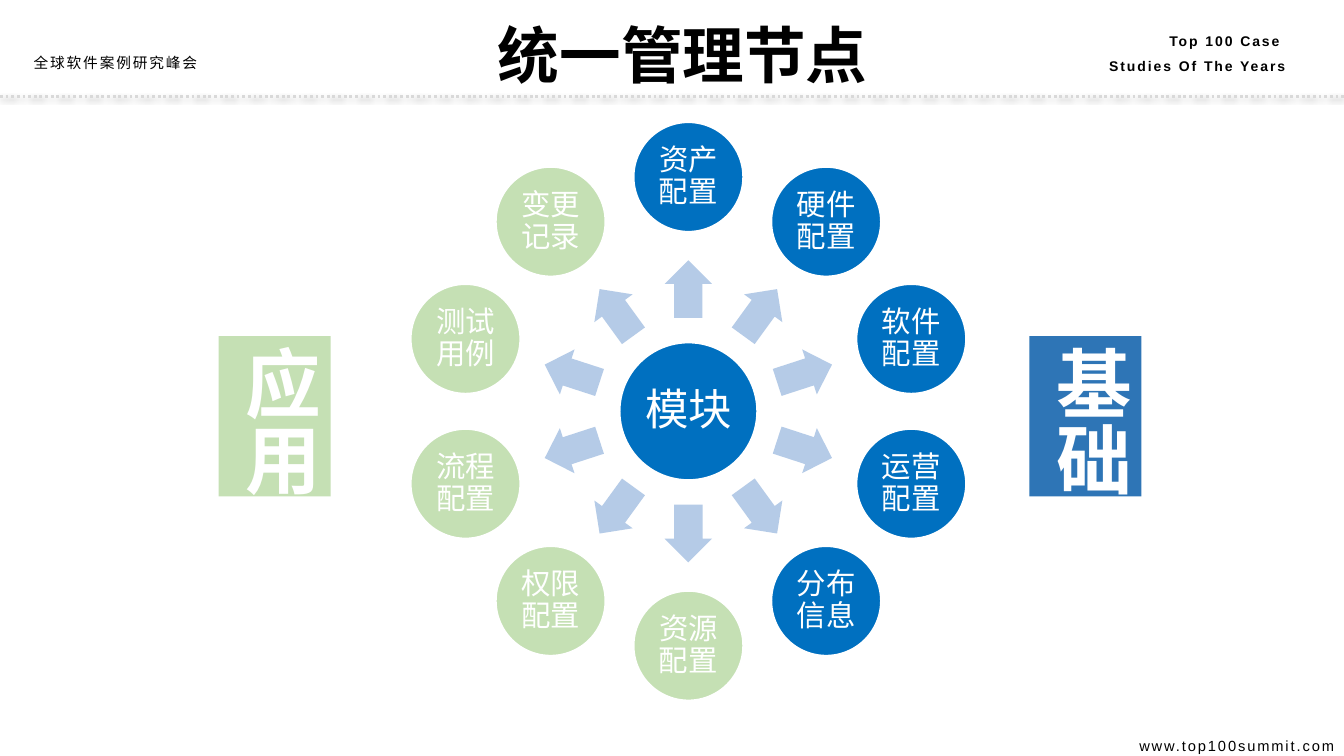
"""Build the slide on unified management nodes: a hub with ten radiating modules."""
from math import cos, radians, sin

from lxml.etree import SubElement
from pptx import Presentation
from pptx.dml.color import RGBColor
from pptx.enum.dml import MSO_LINE
from pptx.enum.shapes import MSO_CONNECTOR, MSO_SHAPE
from pptx.enum.text import MSO_ANCHOR, MSO_AUTO_SIZE, PP_ALIGN
from pptx.oxml.ns import qn
from pptx.util import Pt

BLUE, GREEN, WHITE, BLACK = "0070C0", "C5E0B4", "FFFFFF", "000000"


def color(hex_string):
    return RGBColor.from_string(hex_string)


def write(shape, lines, align, spacing, size, face, ink, bold=False, tracking=0):
    frame = shape.text_frame
    for number, line in enumerate(lines):
        paragraph = frame.add_paragraph() if number else frame.paragraphs[0]
        paragraph.alignment = align
        paragraph.line_spacing = spacing
        run = paragraph.add_run()
        run.text = line
        for name, value in {"size": Pt(size), "name": face, "bold": bold}.items():
            setattr(run.font, name, value)
        run.font.color.rgb = color(ink)
        properties = run.font._element
        SubElement(properties, qn("a:ea")).set("typeface", face)
        if tracking:
            properties.set("spc", str(tracking))


presentation = Presentation()
presentation.slide_width, presentation.slide_height = Pt(960), Pt(540)
slide = presentation.slides.add_slide(presentation.slide_layouts[6])
shapes = slide.shapes

captions = [
    ((0, 36, 165, 18.7), ["全球软件案例研究峰会"], PP_ALIGN.CENTER, Pt(11.2), 10.5, "Vollkorn", False, 140),
    ((743, 13.7, 182.2, 41), ["Top 100 Case ", "Studies Of The Years"], PP_ALIGN.RIGHT, 1.5, 10, "Arial", True, 140),
    ((746.6, 516.2, 213.8, 23.8), ["www.top100summit.com"], PP_ALIGN.RIGHT, 1.5, 10.5, "Arial", False, 140),
    ((211.7, 8.6, 552.2, 60.5), ["统一管理节点"], PP_ALIGN.CENTER, None, 44, "Vollkorn", True, 0),
]
for place, lines, align, spacing, size, face, bold, tracking in captions:
    caption = shapes.add_textbox(*map(Pt, place))
    caption.text_frame.word_wrap = True
    write(caption, lines, align, spacing, size, face, BLACK, bold, tracking)

header_rule = shapes.add_connector(MSO_CONNECTOR.STRAIGHT, Pt(0), Pt(69), Pt(960), Pt(69))
header_rule.line.color.rgb = color("D9D9D9")
header_rule.line.width = Pt(2)
header_rule.line.dash_style = MSO_LINE.ROUND_DOT
effects = SubElement(header_rule._element.spPr, qn("a:effectLst"))
shadow = SubElement(effects, qn("a:outerShdw"), blurRad="40000", dist="20000",
                    dir="5400000", rotWithShape="0")
shadow_color = SubElement(shadow, qn("a:srgbClr"), val=BLACK)
SubElement(shadow_color, qn("a:alpha"), val="38000")

hub_x, hub_y = 491.7, 293.8
node_orbit, arrow_orbit = 167.4, 87.3
arrow_length, arrow_width = 41.2, 33.8
modules = ["资产配置", "硬件配置", "软件配置", "运营配置", "分布信息",
           "资源配置", "权限配置", "流程配置", "测试用例", "变更记录"]
circles = [("模块", hub_x, hub_y, 99, BLUE, 31, 2.8)]

for position, module in enumerate(modules):
    degrees = position * 360 / len(modules) - 90
    across, down = cos(radians(degrees)), sin(radians(degrees))
    arrow = shapes.add_shape(
        MSO_SHAPE.RIGHT_ARROW,
        Pt(hub_x + arrow_orbit * across - arrow_length / 2),
        Pt(hub_y + arrow_orbit * down - arrow_width / 2),
        Pt(arrow_length), Pt(arrow_width))
    arrow.rotation = degrees % 360
    arrow.adjustments[0], arrow.adjustments[1] = 0.6, 0.5
    arrow.shadow.inherit = False
    arrow.fill.solid()
    arrow.fill.fore_color.rgb = color("B5CBE7")
    arrow.line.fill.background()
    circles.append((module, hub_x + node_orbit * across, hub_y + node_orbit * down,
                    79, BLUE if position < 5 else GREEN, 21, 2.1))

for label, x, y, diameter, fill, size, inset in circles:
    circle = shapes.add_shape(MSO_SHAPE.OVAL, Pt(x - diameter / 2), Pt(y - diameter / 2),
                              Pt(diameter), Pt(diameter))
    circle.shadow.inherit = False
    circle.fill.solid()
    circle.fill.fore_color.rgb = color(fill)
    circle.line.color.rgb = color(WHITE)
    circle.line.width = Pt(2)
    for side in ("left", "top", "right", "bottom"):
        setattr(circle.text_frame, f"margin_{side}", Pt(inset))
    circle.text_frame.word_wrap = True
    circle.text_frame.vertical_anchor = MSO_ANCHOR.MIDDLE
    write(circle, [label], PP_ALIGN.CENTER, 0.9, size, "Vollkorn", WHITE)

for group, left, fill in [("应用", 156.2, GREEN), ("基础", 735.4, "2E75B6")]:
    banner = shapes.add_shape(MSO_SHAPE.RECTANGLE, Pt(left), Pt(240), Pt(80), Pt(114.5))
    banner.shadow.inherit = False
    banner.fill.solid()
    banner.fill.fore_color.rgb = color(fill)
    banner.line.fill.background()
    frame = banner.text_frame
    frame.word_wrap = False
    frame.auto_size = MSO_AUTO_SIZE.SHAPE_TO_FIT_TEXT
    frame.vertical_anchor = MSO_ANCHOR.TOP
    frame._txBody.bodyPr.set("vert", "eaVert")
    write(banner, [group], PP_ALIGN.LEFT, None, 54, "Vollkorn", WHITE, True)

presentation.save("out.pptx")
